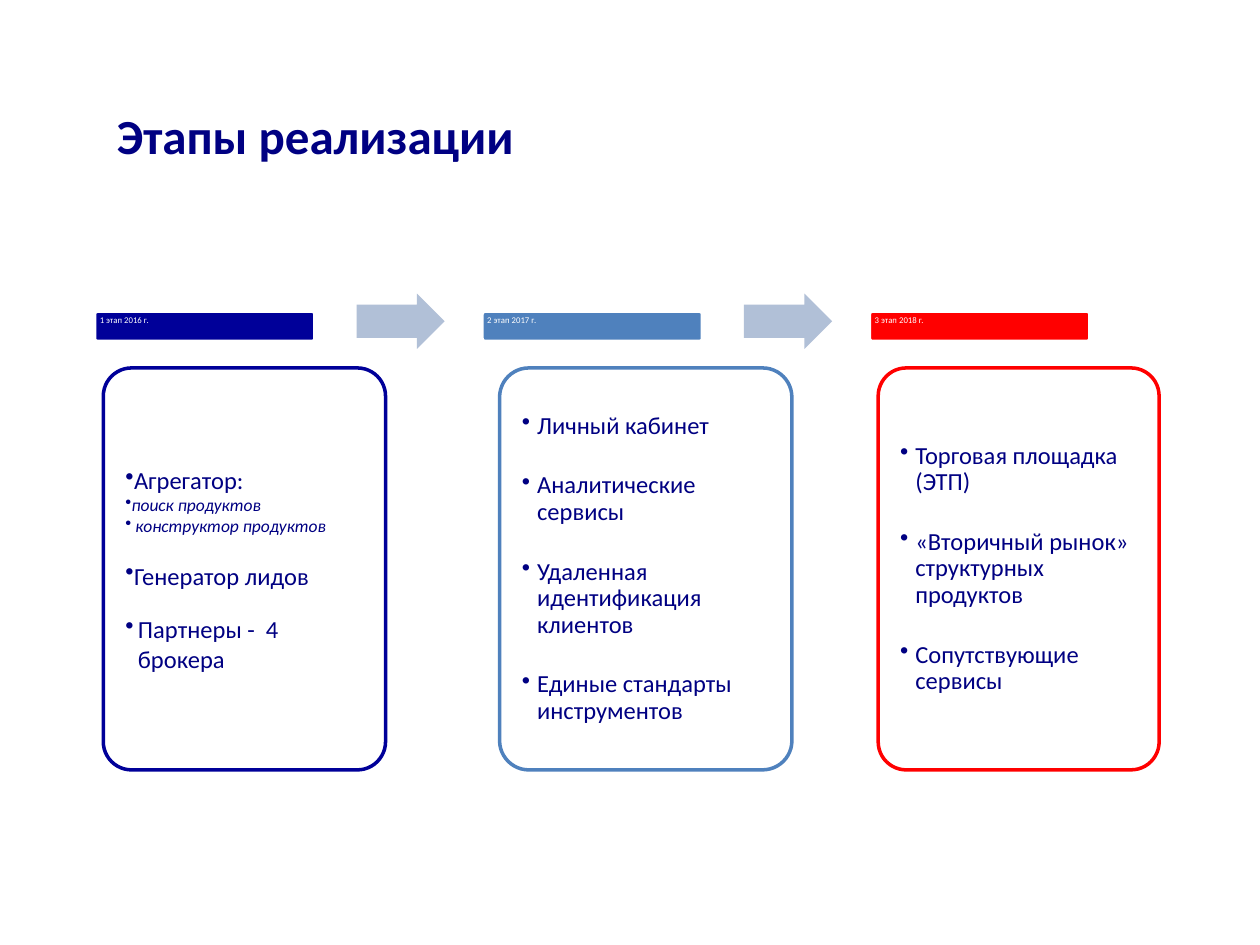
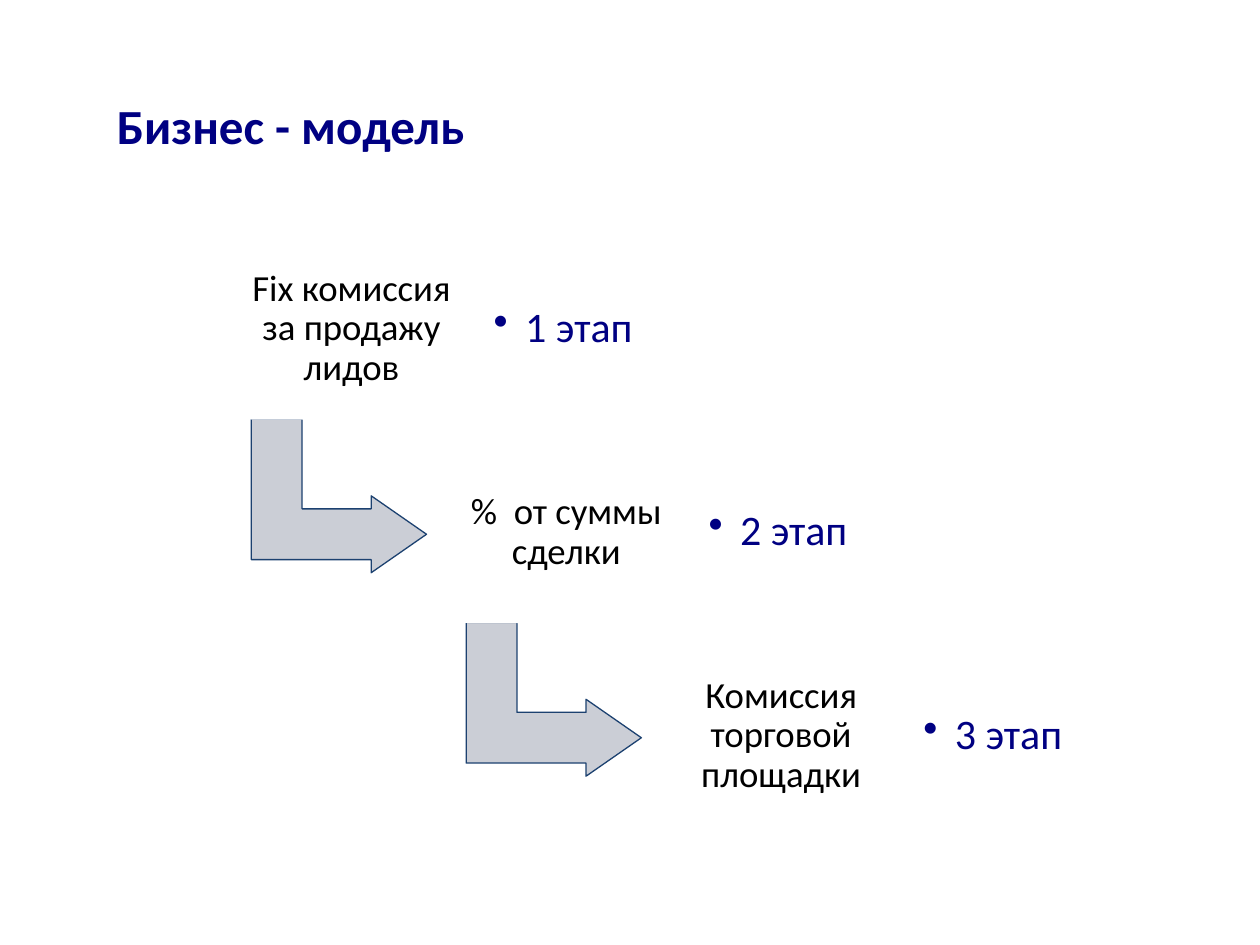
from dataclasses import dataclass

from lxml import etree
from pptx import Presentation
from pptx.dml.color import RGBColor
from pptx.enum.shapes import MSO_SHAPE
from pptx.enum.text import MSO_ANCHOR, PP_ALIGN
from pptx.oxml.ns import qn
from pptx.util import Inches, Pt

ROUND = MSO_SHAPE.ROUNDED_RECTANGLE
RIGHT = MSO_SHAPE.RIGHT_ARROW
BENT = MSO_SHAPE.BENT_UP_ARROW
TOP, MIDDLE = MSO_ANCHOR.TOP, MSO_ANCHOR.MIDDLE
LEFT, CENTER = PP_ALIGN.LEFT, PP_ALIGN.CENTER

WIDTH, HEIGHT = Inches(10), Inches(7.5)
COL, ROW = WIDTH // 100, HEIGHT // 75


@dataclass(frozen=True)
class Theme:
    font: str = "Calibri"
    ink: str = "000082"
    black: str = "000000"
    white: str = "FFFFFF"
    navy: str = "000099"
    blue: str = "4F81BD"
    red: str = "FF0000"
    arrow: str = "B1C0D7"
    bend: str = "CBCED6"
    edge: str = "1C4170"
    title: int = 28
    phase: int = 24
    fee: int = 21
    body: int = 14
    sub: int = 10
    label: int = 5


THEME = Theme()


@dataclass(frozen=True)
class Box:
    x: float
    y: float
    w: float
    h: float

    def inner(self, x, y, w, h):
        return Box(self.x + x, self.y + y, w, h)

    def place(self):
        return (round(self.x * COL), round(self.y * ROW),
                round(self.w * COL), round(self.h * ROW))


@dataclass(frozen=True)
class Item:
    text: str
    gap: int = 0
    hang: float = 0
    tight: float = 0.9
    sub: bool = False


@dataclass(frozen=True)
class Stage:
    label: str
    color: str
    shift: float
    width: float
    items: tuple


def loose(text, gap=0, hang=0, sub=False):
    return Item(text, gap, hang, 1, sub)


def spaced(*texts):
    return tuple(Item(text, 19 if i else 0, 1.2)
                 for i, text in enumerate(texts))


STAGES = (
    Stage("1 этап 2016 г.", THEME.navy, 0.7, 22.4, (
        loose("Агрегатор:"),
        loose("поиск продуктов", sub=True),
        loose(" конструктор продуктов", sub=True),
        loose("Генератор лидов", 14),
        loose("Партнеры -  4 брокера", 14, 1))),
    Stage("2 этап 2017 г.", THEME.blue, 1.4, 23.2, spaced(
        "Личный кабинет", "Аналитические сервисы",
        "Удаленная идентификация клиентов",
        "Единые стандарты инструментов")),
    Stage("3 этап 2018 г.", THEME.red, 0.7, 22.3, spaced(
        "Торговая площадка (ЭТП)",
        "«Вторичный рынок» структурных продуктов",
        "Сопутствующие сервисы")),
)

FEES = (
    ("Fix комиссия за продажу лидов", "1 этап"),
    ("%  от суммы сделки", "2 этап"),
    ("Комиссия торговой площадки", "3 этап"),
)


def rgb(code):
    return RGBColor.from_string(code)


def draw(slide, kind, box, fill, line=None, width=2, adjust=()):
    shape = slide.shapes.add_shape(kind, *box.place())
    shape.shadow.inherit = False
    shape.fill.solid()
    shape.fill.fore_color.rgb = rgb(fill)
    if line:
        shape.line.color.rgb = rgb(line)
        shape.line.width = Pt(width)
    else:
        shape.line.fill.background()
    for i, value in enumerate(adjust):
        shape.adjustments[i] = value
    return shape


def setup(shape, anchor, side, end):
    frame = shape.text_frame
    frame.word_wrap = True
    frame.vertical_anchor = anchor
    frame.margin_left = frame.margin_right = round(side * COL)
    frame.margin_top = frame.margin_bottom = round(end * ROW)
    return frame


def style(para, size, color, align=LEFT, tight=0.9, bold=False, slant=False):
    para.alignment = align
    para.line_spacing = tight
    for run in para.runs:
        font = run.font
        font.name = THEME.font
        font.size = Pt(size)
        font.color.rgb = rgb(color)
        font.bold = bold
        font.italic = slant


def bullet(para, hang):
    props = para._p.get_or_add_pPr()
    depth = round(hang * COL)
    props.set("marL", str(depth))
    props.set("indent", str(-depth))
    tint = etree.SubElement(props, qn("a:buClr"))
    etree.SubElement(tint, qn("a:srgbClr")).set("val", THEME.ink)
    etree.SubElement(props, qn("a:buChar")).set("char", "•")


def title(slide, text, top):
    box = Box(8.3, top, 85, 12.6)
    frame = setup(slide.shapes.add_textbox(*box.place()), MIDDLE, 1, 0.5)
    frame.text = text
    style(frame.paragraphs[0], THEME.title, THEME.ink, tight=1, bold=True)


def label(slide, box, stage):
    shape = draw(slide, ROUND, box, stage.color, THEME.white, adjust=(0.1,))
    frame = setup(shape, TOP, 0.35, 0.35)
    frame.text = stage.label
    style(frame.paragraphs[0], THEME.label, THEME.white)


def card(slide, box, stage):
    shape = draw(slide, ROUND, box, THEME.white, stage.color, adjust=(0.1,))
    frame = setup(shape, MIDDLE, 1.1, 1.1)
    frame.text = "\n".join(item.text for item in stage.items)
    for para, item in zip(frame.paragraphs, stage.items):
        size = THEME.sub if item.sub else THEME.body
        style(para, size, THEME.ink, tight=item.tight, slant=item.sub)
        para.space_before = Pt(item.gap)
        bullet(para, item.hang)


def stages(slide, box):
    step = box.w / len(STAGES)
    for i, stage in enumerate(STAGES):
        cell = box.inner(i * step, 0, step, box.h)
        label(slide, cell.inner(0, 1.4, 17.5, 2.4), stage)
        card(slide, cell.inner(stage.shift, 5.9, stage.width, 31.9), stage)
        if i < len(STAGES) - 1:
            draw(slide, RIGHT, cell.inner(20.8, 0, 7, 4.4), THEME.arrow,
                 adjust=(0.6, 0.5))


def fee(slide, box, text, phase):
    shape = draw(slide, ROUND, box, THEME.white, adjust=(0.17,))
    frame = setup(shape, MIDDLE, 0.9, 0.9)
    frame.text = text
    style(frame.paragraphs[0], THEME.fee, THEME.black, CENTER)
    side = box.inner(box.w, 1.4, 14.9, 11.6)
    frame = setup(slide.shapes.add_textbox(*side.place()), MIDDLE, 1, 1)
    frame.text = phase
    style(frame.paragraphs[0], THEME.phase, THEME.ink)
    bullet(frame.paragraphs[0], 2.5)


def steps(slide, box):
    for i, (text, phase) in enumerate(FEES):
        cell = box.inner(i * 17.05, i * 16.15, 20.6, 14.4)
        if i < len(FEES) - 1:
            bend = draw(slide, BENT, cell.inner(3.2, 13.5, 12.2, 13.9),
                        THEME.bend, THEME.edge, 0.75, (0.33, 0.25, 0.36))
            bend.rotation = 90
        fee(slide, cell, text, phase)


def main():
    deck = Presentation()
    deck.slide_width, deck.slide_height = WIDTH, HEIGHT
    blank = deck.slide_layouts[6]
    plan = deck.slides.add_slide(blank)
    title(plan, "Этапы реализации", 4.4)
    stages(plan, Box(7.5, 23.3, 92.25, 37.8))
    model = deck.slides.add_slide(blank)
    title(model, "Бизнес - модель", 3.6)
    steps(model, Box(17.6, 18.9, 69.5, 46.7))
    deck.save("out.pptx")


if __name__ == "__main__":
    main()
